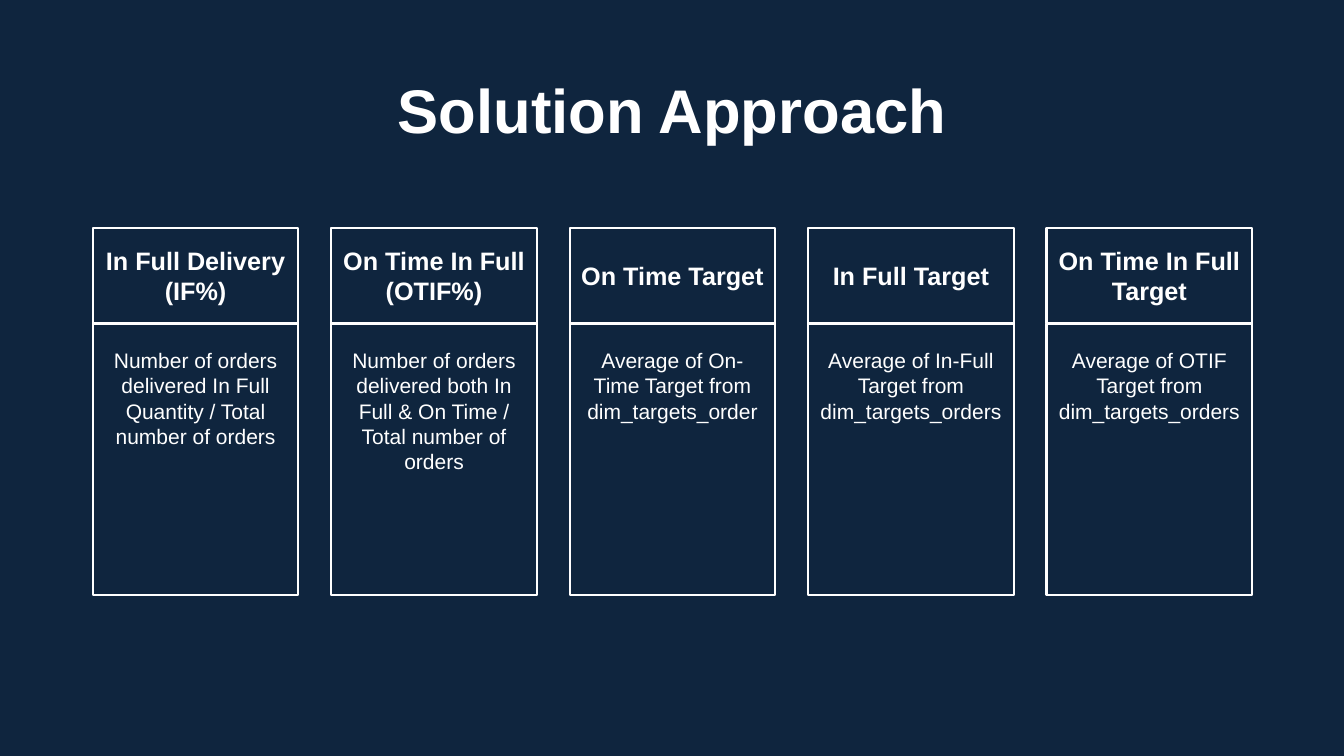
from dataclasses import dataclass

from pptx import Presentation
from pptx import util as u
from pptx.dml.color import RGBColor
from pptx.enum import shapes, text


@dataclass(frozen=True)
class Theme:
    """Colours, font and type sizes of the slide."""
    navy: RGBColor = RGBColor(0x0F, 0x25, 0x3E)
    white: RGBColor = RGBColor(0xFF, 0xFF, 0xFF)
    font: str = "Arial"
    title: int = 44
    heading: int = 18
    body: int = 15
    border: float = 1.5


THEME = Theme()

METRICS = [
    ("In Full Delivery (IF%)",
     "Number of orders delivered In Full Quantity / Total number of orders"),
    ("On Time In Full (OTIF%)",
     "Number of orders delivered both In Full & On Time / Total number of orders"),
    ("On Time Target", "Average of On-Time Target from dim_targets_order"),
    ("In Full Target", "Average of In-Full Target from dim_targets_orders"),
    ("On Time In Full Target", "Average of OTIF Target from dim_targets_orders"),
]


def write(frame, wording, size, bold, anchor):
    """Fill a text frame with one centred white paragraph."""
    frame.word_wrap = True
    frame.auto_size = text.MSO_AUTO_SIZE.NONE
    frame.vertical_anchor = anchor
    frame.text = wording
    paragraph = frame.paragraphs[0]
    paragraph.alignment = text.PP_ALIGN.CENTER
    paragraph.font.name = THEME.font
    paragraph.font.size = u.Pt(size)
    paragraph.font.bold = bold
    paragraph.font.color.rgb = THEME.white
    return paragraph


def add_title(slide, wording, left, top, width, height):
    """Place and format the title placeholder."""
    title = slide.shapes.title
    title.left, title.top = u.Inches(left), u.Inches(top)
    title.width, title.height = u.Inches(width), u.Inches(height)
    paragraph = write(title.text_frame, wording, THEME.title, True,
                      text.MSO_ANCHOR.MIDDLE)
    paragraph.line_spacing = 0.9


def add_panel(slide, left, top, width, height):
    """Add an unfilled rectangle with a white border."""
    panel = slide.shapes.add_shape(
        shapes.MSO_SHAPE.RECTANGLE, u.Inches(left), u.Inches(top),
        u.Inches(width), u.Inches(height))
    panel.shadow.inherit = False
    panel.fill.background()
    panel.line.color.rgb = THEME.white
    panel.line.width = u.Pt(THEME.border)
    return panel


def add_metric(slide, heading, definition, left, top, width, height):
    """Add a metric card with its heading above its definition."""
    heading_height = 0.95
    definition_panel = add_panel(slide, left, top + heading_height, width,
                                 height - heading_height)
    definition_panel.text_frame.margin_top = u.Inches(0.24)
    write(definition_panel.text_frame, definition, THEME.body, False,
          text.MSO_ANCHOR.TOP)
    heading_panel = add_panel(slide, left, top, width, heading_height)
    write(heading_panel.text_frame, heading, THEME.heading, True,
          text.MSO_ANCHOR.MIDDLE)


def add_metrics(slide, metrics, left, top, width, height):
    """Spread the metric cards evenly across the given box."""
    card_width = 2.04
    pitch = (width - card_width) / (len(metrics) - 1)
    for index, (heading, definition) in enumerate(metrics):
        add_metric(slide, heading, definition, left + index * pitch, top,
                   card_width, height)


def main():
    """Build and save the presentation."""
    deck = Presentation()
    deck.slide_width, deck.slide_height = u.Inches(13.33), u.Inches(7.5)
    slide = deck.slides.add_slide(deck.slide_layouts.get_by_name("Title Only"))
    slide.background.fill.solid()
    slide.background.fill.fore_color.rgb = THEME.navy
    add_title(slide, "Solution Approach", 0.92, 0.4, 11.5, 1.45)
    add_metrics(slide, METRICS, 0.92, 2.26, 11.5, 3.64)
    deck.save("out.pptx")


if __name__ == "__main__":
    main()
